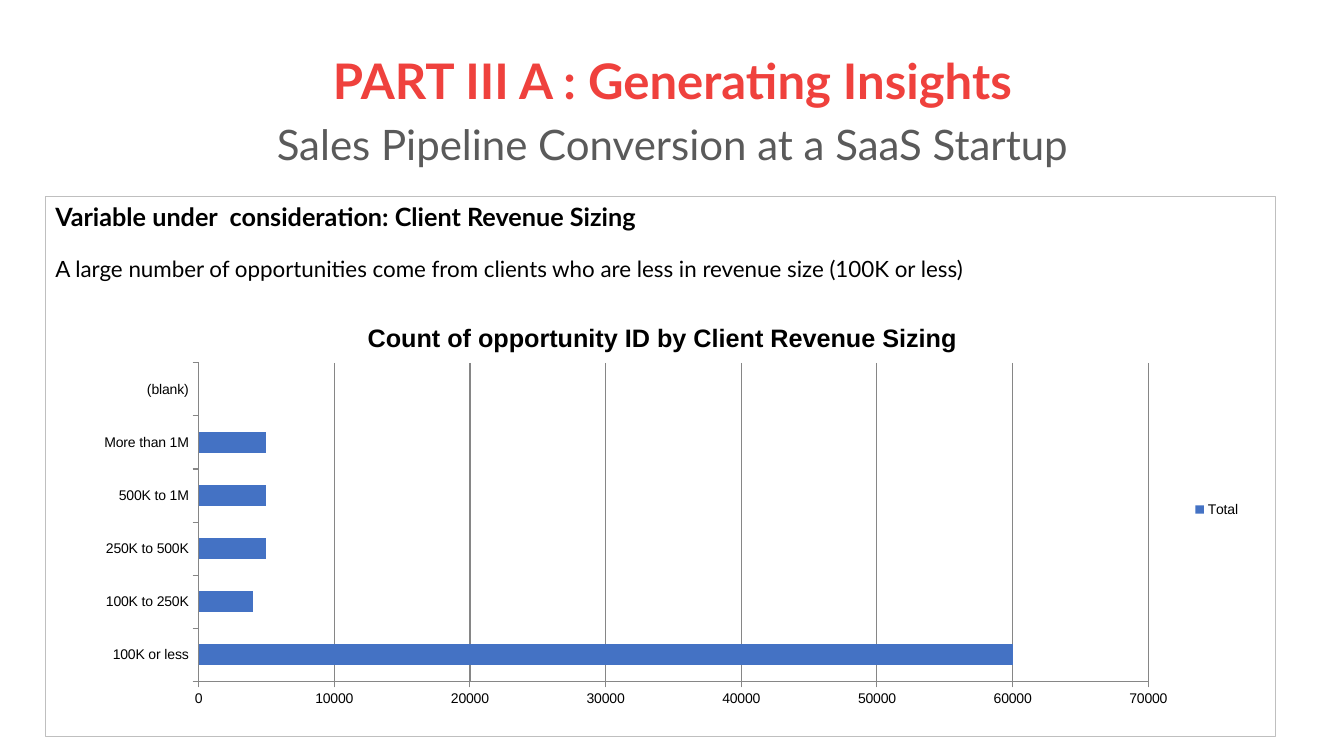
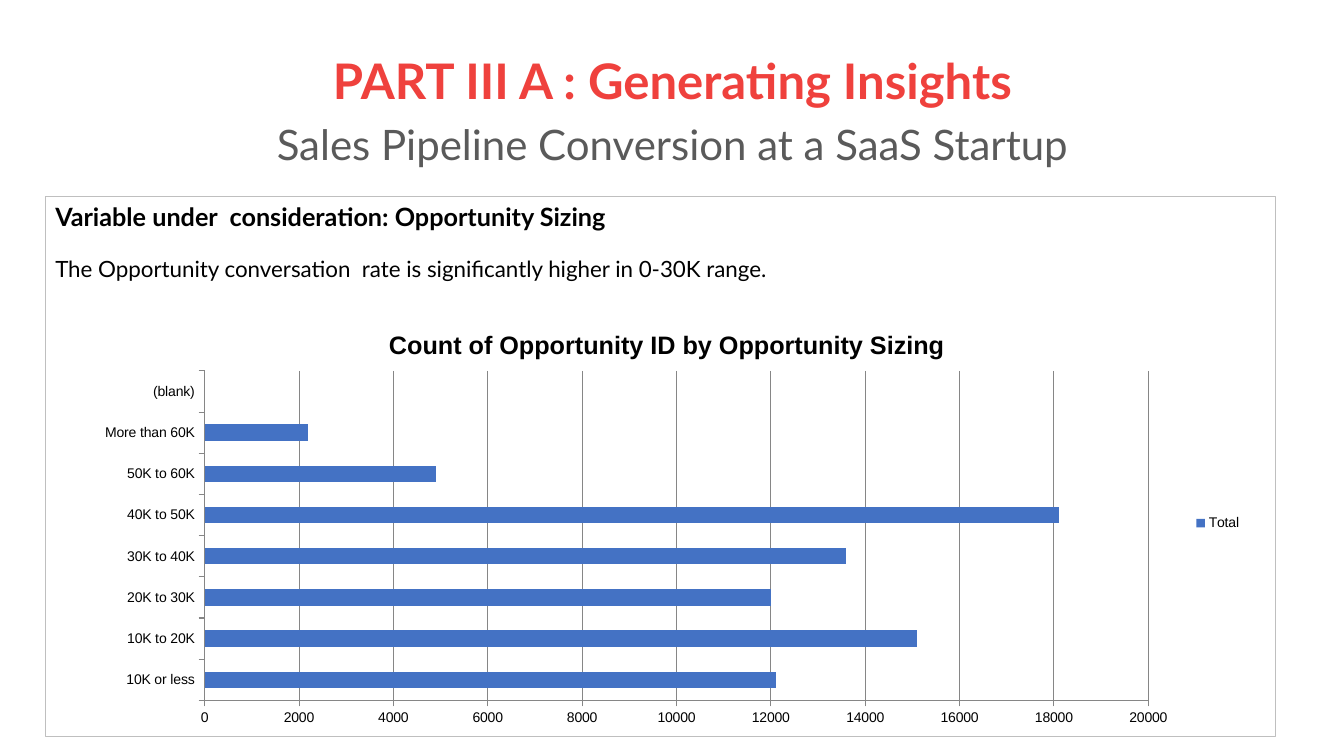
from dataclasses import dataclass

import lxml.etree
import pptx
import pptx.chart.data
import pptx.dml.color
import pptx.enum.chart
import pptx.enum.shapes
import pptx.enum.text
import pptx.oxml.ns
import pptx.util
from pptx.util import Inches, Pt

RED = pptx.dml.color.RGBColor(0xEF, 0x41, 0x3D)
GREY = pptx.dml.color.RGBColor(0x5A, 0x5A, 0x5A)
BLACK = pptx.dml.color.RGBColor(0x00, 0x00, 0x00)
BORDER = pptx.dml.color.RGBColor(0xBF, 0xBF, 0xBF)
AXIS = pptx.dml.color.RGBColor(0x86, 0x86, 0x86)
BLUE = pptx.dml.color.RGBColor(0x44, 0x72, 0xC4)

TEXT_FONT = "Lato"
CHART_FONT = "Arial"
TITLE_ONLY = 5
TITLE = "PART III A : Generating Insights"
SUBTITLE = "Sales Pipeline Conversion at a SaaS Startup"


@dataclass(frozen=True)
class Line:
    text: str
    size: float
    color: pptx.dml.color.RGBColor
    bold: bool
    space_before: float = 0


@dataclass(frozen=True)
class Box:
    """A rectangle on the slide, in inches."""

    left: float
    top: float
    width: float
    height: float


@dataclass(frozen=True)
class Insight:
    variable: str
    finding: str
    chart_title: str
    counts: dict[str, int | None]
    axis_maximum: int
    axis_step: int
    chart_box: Box
    plot_box: Box


INSIGHTS = [
    Insight(
        variable="Client Revenue Sizing",
        finding="A large number of opportunities come from clients who are less in revenue size (100K or less)",
        chart_title="Count of opportunity ID by Client Revenue Sizing ",
        counts={
            "100K or less": 60000,
            "100K to 250K": 4000,
            "250K to 500K": 5000,
            "500K to 1M": 5000,
            "More than 1M": 5000,
            "(blank)": None,
        },
        axis_maximum=70000,
        axis_step=10000,
        chart_box=Box(0.8, 3.01, 11.61, 4.09),
        plot_box=Box(1.97, 3.6, 9.42, 3.16),
    ),
    Insight(
        variable="Opportunity Sizing",
        finding="The Opportunity conversation  rate is significantly higher in 0-30K range.",
        chart_title="Count of Opportunity ID by Opportunity Sizing",
        counts={
            "10K or less": 12100,
            "10K to 20K": 15100,
            "20K to 30K": 12000,
            "30K to 40K": 13600,
            "40K to 50K": 18100,
            "50K to 60K": 4900,
            "More than 60K": 2200,
            "(blank)": None,
        },
        axis_maximum=20000,
        axis_step=2000,
        chart_box=Box(0.81, 3.08, 11.61, 4.22),
        plot_box=Box(2.03, 3.68, 9.36, 3.27),
    ),
]


def format_font(font, name: str, size: float, color, bold: bool) -> None:
    font.name = name
    font.size = Pt(size)
    font.color.rgb = color
    font.bold = bold


def write_lines(text_frame, lines: list[Line], alignment, line_spacing: float) -> None:
    text_frame.word_wrap = True
    text_frame.auto_size = pptx.enum.text.MSO_AUTO_SIZE.NONE
    text_frame.text = "\n".join(line.text for line in lines)
    for paragraph, line in zip(text_frame.paragraphs, lines):
        paragraph.alignment = alignment
        paragraph.line_spacing = line_spacing
        paragraph.space_before = Pt(line.space_before)
        format_font(paragraph.runs[0].font, TEXT_FONT, line.size, line.color, line.bold)


def add_title(slide) -> None:
    title = slide.shapes.title
    title.left, title.top = Inches(0.92), Inches(0.4)
    title.width, title.height = Inches(11.5), Inches(1.45)
    title.text_frame.vertical_anchor = pptx.enum.text.MSO_ANCHOR.MIDDLE
    lines = [Line(TITLE, 35, RED, True), Line(SUBTITLE, 30, GREY, False, 10.5)]
    write_lines(title.text_frame, lines, pptx.enum.text.PP_ALIGN.CENTER, 0.9)


def add_panel(slide, insight: Insight) -> None:
    panel = slide.shapes.add_shape(
        pptx.enum.shapes.MSO_SHAPE.RECTANGLE,
        Inches(0.45), Inches(1.95), Inches(12.2), Inches(5.36),
    )
    panel.shadow.inherit = False
    panel.fill.background()
    panel.line.color.rgb = BORDER
    panel.line.width = Pt(0.75)
    panel.text_frame.vertical_anchor = pptx.enum.text.MSO_ANCHOR.TOP
    lines = [
        Line(f"Variable under  consideration: {insight.variable}", 18, BLACK, True),
        Line(insight.finding, 16, BLACK, False, 17),
    ]
    write_lines(panel.text_frame, lines, pptx.enum.text.PP_ALIGN.LEFT, 1.0)


def place_plot(chart, chart_box: Box, plot_box: Box) -> None:
    """Fix the inner plot area, as fractions of the chart's own box."""
    qualified = pptx.oxml.ns.qn
    plot_area = chart.plots[0]._element.getparent()
    for automatic_layout in plot_area.findall(qualified("c:layout")):
        plot_area.remove(automatic_layout)
    layout = lxml.etree.Element(qualified("c:layout"))
    plot_area.insert(0, layout)
    manual = lxml.etree.SubElement(layout, qualified("c:manualLayout"))
    settings = {
        "layoutTarget": "inner",
        "xMode": "edge",
        "yMode": "edge",
        "x": (plot_box.left - chart_box.left) / chart_box.width,
        "y": (plot_box.top - chart_box.top) / chart_box.height,
        "w": plot_box.width / chart_box.width,
        "h": plot_box.height / chart_box.height,
    }
    for name, value in settings.items():
        lxml.etree.SubElement(manual, qualified(f"c:{name}")).set("val", str(value))


def add_bar_chart(slide, insight: Insight) -> None:
    data = pptx.chart.data.CategoryChartData()
    data.categories = list(insight.counts)
    data.add_series("Total", list(insight.counts.values()))
    box = insight.chart_box
    chart = slide.shapes.add_chart(
        pptx.enum.chart.XL_CHART_TYPE.BAR_CLUSTERED,
        Inches(box.left), Inches(box.top), Inches(box.width), Inches(box.height), data,
    ).chart
    format_font(chart.font, CHART_FONT, 10, BLACK, False)

    chart.has_title = True
    chart.chart_title.include_in_layout = False
    title_frame = chart.chart_title.text_frame
    title_frame.text = insight.chart_title
    format_font(title_frame.paragraphs[0].runs[0].font, CHART_FONT, 18, BLACK, True)

    chart.has_legend = True
    chart.legend.position = pptx.enum.chart.XL_LEGEND_POSITION.RIGHT
    chart.legend.include_in_layout = False

    plot = chart.plots[0]
    plot.gap_width = 150
    plot.vary_by_categories = False
    series = plot.series[0]
    series.format.fill.solid()
    series.format.fill.fore_color.rgb = BLUE

    value_axis = chart.value_axis
    value_axis.minimum_scale = 0
    value_axis.maximum_scale = insight.axis_maximum
    value_axis.major_unit = insight.axis_step
    value_axis.has_major_gridlines = True
    value_axis.major_gridlines.format.line.color.rgb = AXIS
    for axis in (chart.category_axis, value_axis):
        axis.major_tick_mark = pptx.enum.chart.XL_TICK_MARK.OUTSIDE
        axis.format.line.color.rgb = AXIS
    place_plot(chart, box, insight.plot_box)


def main() -> None:
    presentation = pptx.Presentation()
    presentation.slide_width = Inches(13.33)
    presentation.slide_height = Inches(7.5)
    for insight in INSIGHTS:
        slide = presentation.slides.add_slide(presentation.slide_layouts[TITLE_ONLY])
        add_title(slide)
        add_panel(slide, insight)
        add_bar_chart(slide, insight)
    presentation.save("out.pptx")


if __name__ == "__main__":
    main()
